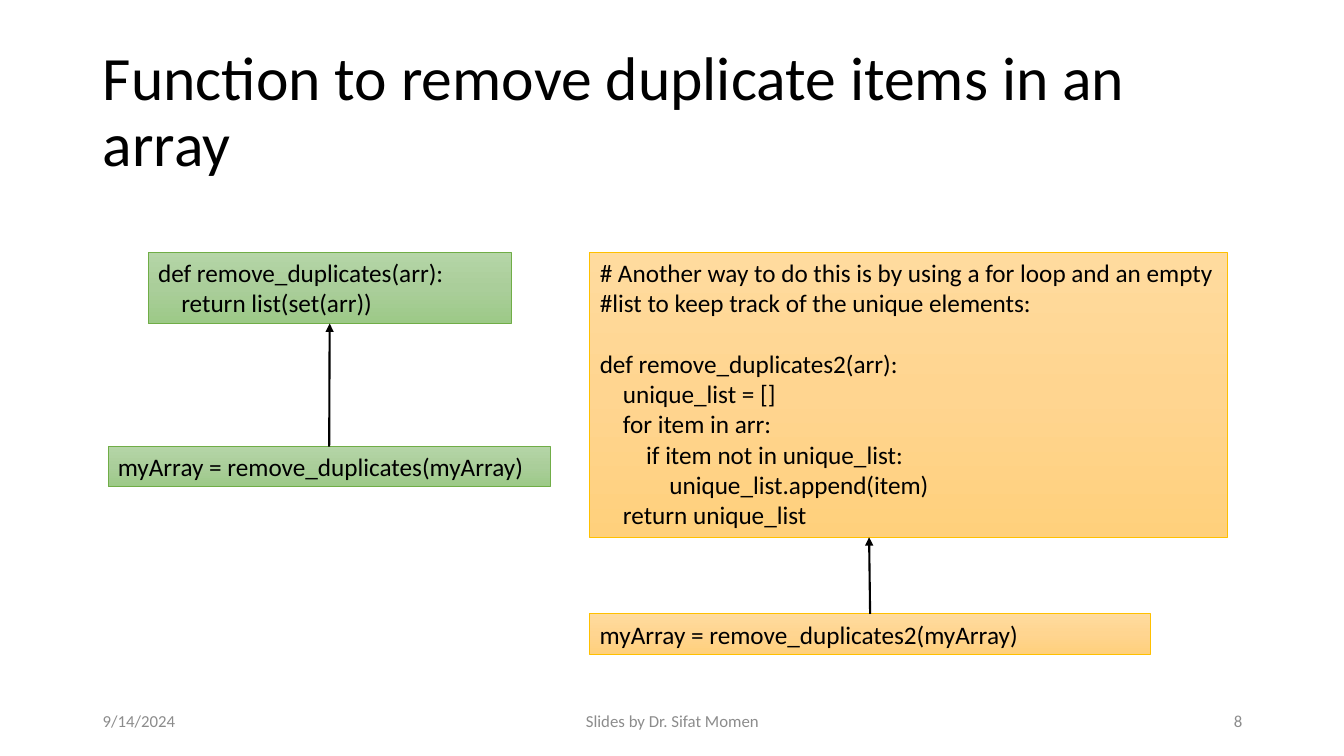
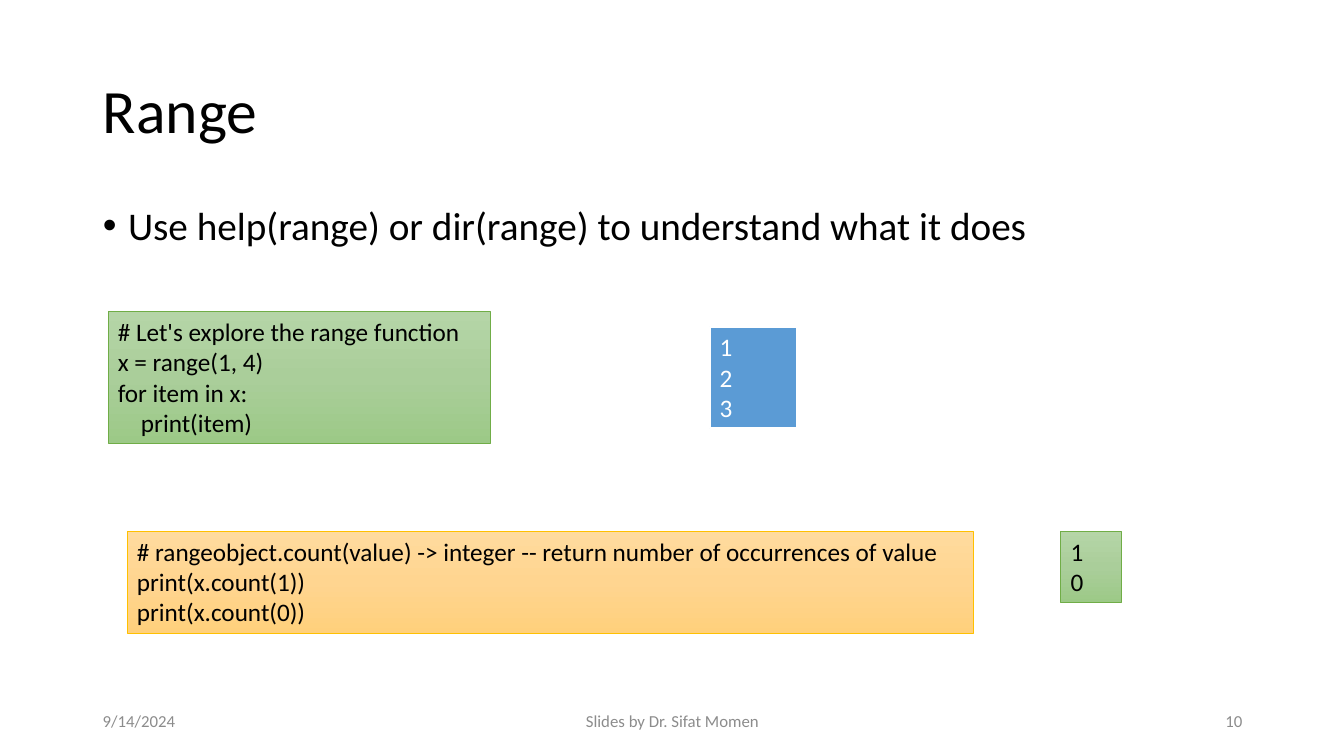
from copy import deepcopy
from dataclasses import dataclass

from lxml.etree import SubElement
from pptx import Presentation
from pptx.dml.color import RGBColor
from pptx.enum.shapes import MSO_CONNECTOR, MSO_SHAPE
from pptx.enum.text import MSO_ANCHOR, MSO_AUTO_SIZE, PP_ALIGN
from pptx.oxml.ns import qn
from pptx.presentation import Presentation as Deck
from pptx.shapes.autoshape import Shape
from pptx.shapes.connector import Connector
from pptx.slide import Slide
from pptx.text.text import TextFrame
from pptx.util import Inches, Pt

FONT = "Calibri"
BLACK, WHITE, GREY = "000000", "FFFFFF", "8C8C8C"
MARGIN, CONTENT_WIDTH = 0.92, 11.5
CODE_INDENT = 0.23
LAYOUT_TITLE_CONTENT, LAYOUT_TITLE_ONLY = 1, 5
TOP, BOTTOM = 0, 2


@dataclass(frozen=True)
class Style:
    fills: tuple[str, ...]
    line: str
    line_width: float = 0.5
    text: str = BLACK


GREEN = Style(("B5D5A7", "AACE9A", "9CC987"), "70AD47")
ORANGE = Style(("FFDB9E", "FFD590", "FFD07C"), "FFC000")
BLUE = Style(("5B9BD5",), WHITE, 1.5, WHITE)


@dataclass(frozen=True)
class CodeLine:
    text: str
    level: int = 0
    space_before: float = 0


@dataclass(frozen=True)
class CodeBox:
    left: float
    top: float
    width: float
    height: float
    style: Style
    lines: tuple[CodeLine, ...]


@dataclass(frozen=True)
class FooterPart:
    left: float
    width: float
    align: PP_ALIGN
    text: str


def color(value: str) -> RGBColor:
    return RGBColor.from_string(value)


def place(shape: Shape, left: float, top: float, width: float, height: float) -> None:
    shape.left, shape.top = Inches(left), Inches(top)
    shape.width, shape.height = Inches(width), Inches(height)


def write_line(frame: TextFrame, text: str, size: float, text_color: str,
               align: PP_ALIGN = PP_ALIGN.LEFT, first: bool = True):
    para = frame.paragraphs[0] if first else frame.add_paragraph()
    para.text = text
    para.alignment = align
    para.font.name = FONT
    para.font.size = Pt(size)
    para.font.color.rgb = color(text_color)
    return para


def fill_placeholder(shape: Shape, text: str, size: float):
    frame = shape.text_frame
    frame.auto_size = MSO_AUTO_SIZE.NONE
    para = write_line(frame, text, size, BLACK)
    para.line_spacing = 0.9
    return para


def add_footers(page: Slide, number: int) -> None:
    for part in (
        FooterPart(MARGIN, 3, PP_ALIGN.LEFT, "9/14/2024"),
        FooterPart(4.42, 4.5, PP_ALIGN.CENTER, "Slides by Dr. Sifat Momen"),
        FooterPart(9.42, 3, PP_ALIGN.RIGHT, str(number)),
    ):
        box = page.shapes.add_textbox(Inches(part.left), Inches(6.95), Inches(part.width), Inches(0.4))
        frame = box.text_frame
        frame.word_wrap = True
        frame.vertical_anchor = MSO_ANCHOR.MIDDLE
        write_line(frame, part.text, 12, GREY, part.align)


def add_page(deck: Deck, layout: int, title: str, number: int) -> Slide:
    page = deck.slides.add_slide(deck.slide_layouts[layout])
    place(page.shapes.title, MARGIN, 0.4, CONTENT_WIDTH, 1.45)
    page.shapes.title.text_frame.vertical_anchor = MSO_ANCHOR.MIDDLE
    fill_placeholder(page.shapes.title, title, 44)
    add_footers(page, number)
    return page


def add_bullet(page: Slide, text: str) -> None:
    body = page.placeholders[1]
    place(body, MARGIN, 2, CONTENT_WIDTH, 0.57)
    para = fill_placeholder(body, text, 28)
    para.space_before = Pt(10)
    properties = para._p.get_or_add_pPr()
    properties.set("marL", str(Inches(0.25)))
    properties.set("indent", str(Inches(-0.25)))


def paint(shape: Shape, style: Style) -> None:
    shape.shadow.inherit = False
    shape.line.color.rgb = color(style.line)
    shape.line.width = Pt(style.line_width)
    if len(style.fills) == 1:
        shape.fill.solid()
        shape.fill.fore_color.rgb = color(style.fills[0])
        return
    shape.fill.gradient()
    shape.fill.gradient_angle = 270
    first_stop = shape._element.spPr.find(".//" + qn("a:gs"))
    first_stop.addnext(deepcopy(first_stop))
    for index, (stop, value) in enumerate(zip(shape.fill.gradient_stops, style.fills)):
        stop.position = index / (len(style.fills) - 1)
        stop.color.rgb = color(value)


def add_code(page: Slide, code: CodeBox) -> Shape:
    box = page.shapes.add_shape(MSO_SHAPE.RECTANGLE, Inches(code.left), Inches(code.top),
                                Inches(code.width), Inches(code.height))
    paint(box, code.style)
    frame = box.text_frame
    frame.word_wrap = True
    frame.auto_size = MSO_AUTO_SIZE.SHAPE_TO_FIT_TEXT
    frame.vertical_anchor = MSO_ANCHOR.TOP
    for index, line in enumerate(code.lines):
        para = write_line(frame, line.text, 18, code.style.text, first=index == 0)
        if line.space_before:
            para.space_before = Pt(line.space_before)
        if line.level:
            para._p.get_or_add_pPr().set("marL", str(Inches(CODE_INDENT * line.level)))
    return box


def add_arrow(page: Slide, call: Shape, end_x: float, end_y: float) -> Connector:
    arrow = page.shapes.add_connector(MSO_CONNECTOR.STRAIGHT, call.left, call.top,
                                      Inches(end_x), Inches(end_y))
    arrow.begin_connect(call, TOP)
    arrow.line.color.rgb = color(BLACK)
    arrow.line.width = Pt(1.5)
    SubElement(arrow.line._get_or_add_ln(), qn("a:tailEnd"), type="triangle")
    SubElement(arrow._element.spPr, qn("a:effectLst"))
    return arrow


def build_duplicates(deck: Deck) -> None:
    page = add_page(deck, LAYOUT_TITLE_ONLY, "Function to remove duplicate items in an array", 8)
    set_function = add_code(page, CodeBox(1.47, 2.5, 3.6, 0.71, GREEN, (
        CodeLine("def remove_duplicates(arr):"),
        CodeLine("return list(set(arr))", 1),
    )))
    add_code(page, CodeBox(5.85, 2.5, 6.32, 2.83, ORANGE, (
        CodeLine("# Another way to do this is by using a for loop and an empty "
                 "#list to keep track of the unique elements:"),
        CodeLine("def remove_duplicates2(arr):", space_before=22),
        CodeLine("unique_list = []", 1),
        CodeLine("for item in arr:", 1),
        CodeLine("if item not in unique_list:", 2),
        CodeLine("unique_list.append(item)", 3),
        CodeLine("return unique_list", 1),
    )))
    loop_call = add_code(page, CodeBox(5.85, 6.09, 5.56, 0.4, ORANGE, (
        CodeLine("myArray = remove_duplicates2(myArray)"),
    )))
    add_arrow(page, loop_call, 8.62, 5.33)
    set_call = add_code(page, CodeBox(1.07, 4.43, 4.39, 0.4, GREEN, (
        CodeLine("myArray = remove_duplicates(myArray)"),
    )))
    add_arrow(page, set_call, 3.27, 3.21).end_connect(set_function, BOTTOM)


def build_range(deck: Deck) -> None:
    page = add_page(deck, LAYOUT_TITLE_CONTENT, "Range", 10)
    add_bullet(page, "Use help(range) or dir(range) to understand what it does")
    for code in (
        CodeBox(1.07, 3.09, 3.79, 1.31, GREEN, (
            CodeLine("# Let's explore the range function"),
            CodeLine("x = range(1, 4)"),
            CodeLine("for item in x:"),
            CodeLine("print(item)", 1),
        )),
        CodeBox(7.04, 3.24, 0.87, 1.01, BLUE, (CodeLine("1"), CodeLine("2"), CodeLine("3"))),
        CodeBox(1.26, 5.27, 8.39, 1.01, ORANGE, (
            CodeLine("# rangeobject.count(value) -> integer -- return number of occurrences of value"),
            CodeLine("print(x.count(1))"),
            CodeLine("print(x.count(0))"),
        )),
        CodeBox(10.52, 5.27, 0.6, 0.71, GREEN, (CodeLine("1"), CodeLine("0"))),
    ):
        add_code(page, code)


def main() -> None:
    deck = Presentation()
    deck.slide_width, deck.slide_height = Inches(13.33), Inches(7.5)
    build_duplicates(deck)
    build_range(deck)
    deck.save("out.pptx")


if __name__ == "__main__":
    main()
